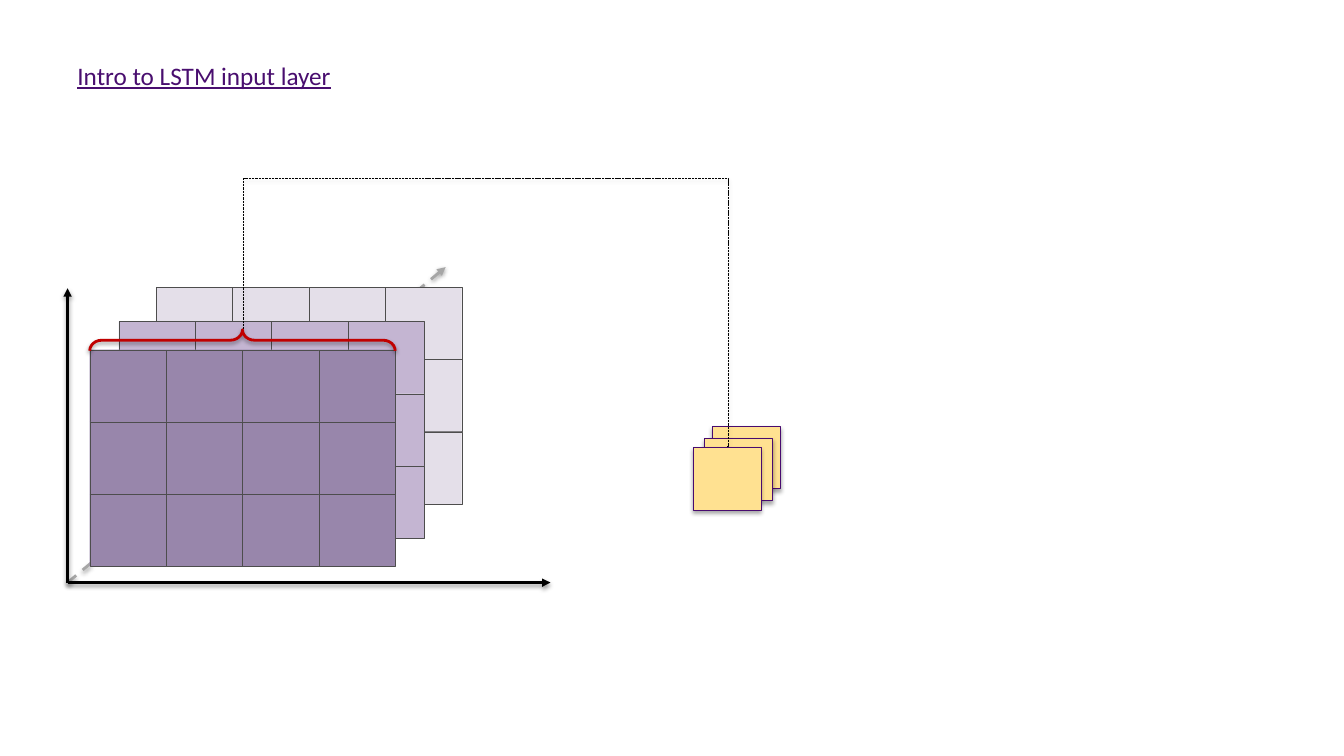
from lxml.etree import SubElement as Sub
from pptx import Presentation
from pptx.dml.color import RGBColor as RGB
from pptx.enum.dml import MSO_LINE as DASH
from pptx.enum.shapes import MSO_CONNECTOR as LINK, MSO_SHAPE as SHAPE
from pptx.oxml.ns import qn
from pptx.util import Inches, Pt

COLORS = {
    "title": "490E6F", "black": "000000", "depth": "A6A6A6", "brace": "C00000",
    "square": "FFE191", "square_edge": "480B6F", "cell_edge": "4D4D4D",
    "back": "E4DFE9", "middle": "C4B5D2", "front": "9886AB",
}

prs = Presentation()
prs.slide_width, prs.slide_height = Inches(13.33), Inches(7.5)
col, row = prs.slide_width // 1333, prs.slide_height // 750
s = prs.slides.add_slide(prs.slide_layouts[6])


def finish(sp, line, width, fill=None, dash=None, arrow=False, shadow=None):
    sp.line.color.rgb = RGB.from_string(COLORS[line])
    sp.line.width = Pt(width)
    if dash:
        sp.line.dash_style = dash
    if arrow:
        Sub(sp.line._get_or_add_ln(), qn("a:tailEnd"), type="triangle")
    if fill:
        sp.fill.solid()
        sp.fill.fore_color.rgb = RGB.from_string(COLORS[fill])
    effects = Sub(sp._element.spPr, qn("a:effectLst"))
    if shadow:
        alpha, dist = shadow
        outer = Sub(effects, qn("a:outerShdw"), blurRad=str(Pt(3.1)),
                    dist=str(Pt(dist)), dir="5400000", rotWithShape="0")
        color = Sub(outer, qn("a:srgbClr"), val=COLORS["black"])
        Sub(color, qn("a:alpha"), val=str(alpha * 1000))


def text(words, x, y, w, h, size=18, color="title", font="Calibri", underline=False):
    tf = s.shapes.add_textbox(x * col, y * row, w * col, h * row).text_frame
    tf.word_wrap = True
    r = tf.paragraphs[0].add_run()
    r.text = words
    r.font.size, r.font.name, r.font.underline = Pt(size), font, underline
    r.font.color.rgb = RGB.from_string(COLORS[color])


SOFT, STRONG = (35, 1.8), (38, 1.6)
GRID_W, GRID_H, COLS, ROWS = 303 * col, 215 * row, 4, 3
ORIGIN = (67, 578)

layers = [
    ("square", 707, 423), ("square", 699, 435),
    ("axis", 442, 265, "depth", DASH.DASH),
    ("grid", 155, 285, "back"), ("grid", 118, 319, "middle"),
    ("axis", 546, 578, "black", None), ("axis", 67, 286, "black", None),
    ("link", 423, 145),
    ("square", 688, 444), ("grid", 89, 347, "front"),
]
for kind, x, y, *look in layers:
    if kind == "square":
        sp = s.shapes.add_shape(SHAPE.RECTANGLE, x * col, y * row, 67 * col, 62 * row)
        finish(sp, "square_edge", 0.75, fill="square", shadow=SOFT)
    elif kind == "axis":
        color, dash = look
        sp = s.shapes.add_connector(LINK.STRAIGHT, ORIGIN[0] * col, ORIGIN[1] * row,
                                    x * col, y * row)
        finish(sp, color, 2, dash=dash, arrow=True, shadow=STRONG)
    elif kind == "grid":
        group = s.shapes.add_group_shape()
        for i in range(COLS * ROWS):
            r, c = divmod(i, COLS)
            sp = group.shapes.add_shape(
                SHAPE.RECTANGLE, x * col + c * GRID_W // COLS,
                y * row + r * GRID_H // ROWS, GRID_W // COLS, GRID_H // ROWS)
            finish(sp, "cell_edge", 0.25, fill=look[0])
    else:
        sp = s.shapes.add_connector(LINK.ELBOW, x * col, y * row,
                                    (x + 116) * col, (y + 479) * row)
        spPr = sp._element.spPr
        spPr.xfrm.set("rot", "16200000")
        spPr.xfrm.set("flipH", "1")
        geom = spPr.find(qn("a:prstGeom"))
        geom.set("prst", "bentConnector4")
        guides = geom.find(qn("a:avLst"))
        if guides is None:
            guides = Sub(geom, qn("a:avLst"))
        for name, value in (("adj1", -128700), ("adj2", 100300)):
            Sub(guides, qn("a:gd"), name=name, fmla=f"val {value}")
        finish(sp, "black", 0.25, dash=DASH.SQUARE_DOT, shadow=STRONG)

sp = s.shapes.add_shape(SHAPE.RIGHT_BRACE, 230 * col, 186 * row, 21 * col, 303 * row)
sp.rotation = 270
sp.adjustments[0], sp.adjustments[1] = 0.57, 0.5
sp.fill.background()
finish(sp, "brace", 2, shadow=STRONG)

text("Intro to LSTM input layer", 67, 55, 743, 40, underline=True)

prs.save("out.pptx")
